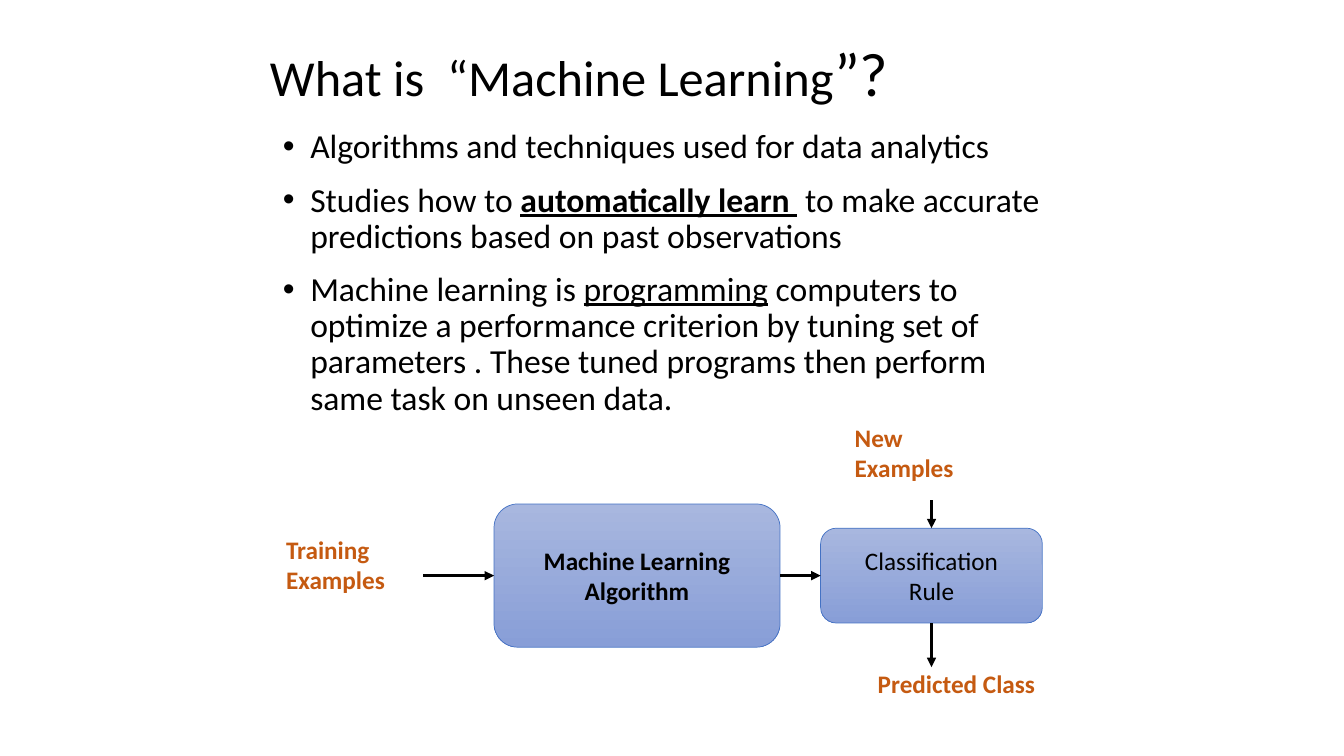
from lxml import etree
from pptx import Presentation, util as u
from pptx.dml.color import RGBColor
from pptx.enum import shapes as sh, text as tx
from pptx.oxml.ns import qn

# Content: a line is a list of (words, style) runs; b = bold, u = underline
TITLE = [("What is  “Machine Learning", ""), ("”?", "big")]
POINTS = [
    [("Algorithms and techniques used for data analytics", "")],
    [("Studies how to ", ""), ("automatically learn ", "bu"),
     (" to make accurate predictions based on past observations", "")],
    [("Machine learning is ", ""), ("programming", "u"),
     (" computers to optimize a performance criterion by tuning set of "
      "parameters . These tuned programs then perform same task on "
      "unseen data.", "")],
]
# Places in cm: left, top, width, height
HEAD = (6.55, 0.71, 20.57, 2.44)
BODY = (6.53, 3.15, 20.57, 14.17)
LEARN = (12.45, 12.7, 7.21, 3.61)
RULE = (20.68, 13.31, 5.59, 2.39)
BOXES = [
    (LEARN, ["Machine Learning", "Algorithm"], "b"),
    (RULE, ["Classification", "Rule"], ""),
]
LABELS = [
    ((6.96, 13.34, 3.02, 1.8), ["Training", "Examples"]),
    ((21.29, 10.52, 5.41, 1.8), ["New", "Examples"]),
    ((21.87, 16.71, 4.83, 1.02), ["Predicted Class"]),
]
START, ENTER, LEAVE = 10.67, 12.6, 16.81  # free ends of the arrows

THEME = {
    "font": "Calibri", "ink": "000000", "label": "C55A11",
    "light": "A8B7DF", "dark": "889ED7", "edge": "4472C4",
    "title": 36, "big": 44, "body": 24, "small": 18,
    "thin": 0.5, "thick": 2.25,
}


def color(name):
    return RGBColor.from_string(THEME[name])


def cm(place):
    return [u.Cm(n) for n in place]


def write(para, runs, size, ink="ink"):
    for words, style in runs:
        run = para.add_run()
        run.text = words
        font = run.font
        font.name = THEME["font"]
        font.size = u.Pt(THEME["big" if style == "big" else size])
        font.color.rgb = color(ink)
        if style != "big":
            font.bold = "b" in style
            font.underline = "u" in style


def fill_text(frame, lines, size, ink="ink", align=tx.PP_ALIGN.LEFT):
    frame.word_wrap = True
    for i, runs in enumerate(lines):
        para = frame.paragraphs[0] if i == 0 else frame.add_paragraph()
        para.alignment = align
        write(para, runs, size, ink)


def add_bullet(para):
    props = para._p.get_or_add_pPr()
    props.set("marL", str(u.Cm(1.04)))
    props.set("indent", str(u.Cm(-0.69)))
    etree.SubElement(props, qn("a:buFont")).set("typeface", "Arial")
    etree.SubElement(props, qn("a:buChar")).set("char", "•")


def add_box(slide, place, lines, style):
    box = slide.shapes.add_shape(sh.MSO_SHAPE.ROUNDED_RECTANGLE, *cm(place))
    box.shadow.inherit = False
    box.fill.gradient()
    box.fill.gradient_angle = 270
    for stop, name in zip(box.fill.gradient_stops, ("light", "dark")):
        stop.color.rgb = color(name)
    box.line.color.rgb = color("edge")
    box.line.width = u.Pt(THEME["thin"])
    box.text_frame.vertical_anchor = tx.MSO_ANCHOR.MIDDLE
    fill_text(box.text_frame, [[(line, style)] for line in lines],
              "small", align=tx.PP_ALIGN.CENTER)


def add_arrow(slide, ends):
    arrow = slide.shapes.add_connector(sh.MSO_CONNECTOR.STRAIGHT, *cm(ends))
    arrow.line.color.rgb = color("ink")
    arrow.line.width = u.Pt(THEME["thick"])
    tip = etree.SubElement(arrow.line._get_or_add_ln(), qn("a:tailEnd"))
    tip.set("type", "triangle")
    etree.SubElement(arrow._element.spPr, qn("a:effectLst"))


def main():
    deck = Presentation()
    deck.slide_width, deck.slide_height = u.Cm(33.87), u.Cm(19.05)
    slide = deck.slides.add_slide(deck.slide_layouts[5])

    # Title
    head = slide.shapes.title
    head.left, head.top, head.width, head.height = cm(HEAD)
    head.text_frame.vertical_anchor = tx.MSO_ANCHOR.MIDDLE
    fill_text(head.text_frame, [TITLE], "title")
    head.text_frame.paragraphs[0].line_spacing = 0.9

    # Bullet points
    body = slide.shapes.add_textbox(*cm(BODY)).text_frame
    fill_text(body, POINTS, "body")
    for para in body.paragraphs:
        para.line_spacing = 0.9
        para.space_before = para.space_after = u.Pt(6)
        add_bullet(para)

    # Boxes
    for place, lines, style in BOXES:
        add_box(slide, place, lines, style)

    # Arrows along the middle of the boxes
    mid = LEARN[1] + LEARN[3] / 2
    axis = RULE[0] + RULE[2] / 2
    for ends in [
        (START, mid, LEARN[0], mid),
        (LEARN[0] + LEARN[2], mid, RULE[0], mid),
        (axis, ENTER, axis, RULE[1]),
        (axis, RULE[1] + RULE[3], axis, LEAVE),
    ]:
        add_arrow(slide, ends)

    # Labels
    for place, lines in LABELS:
        frame = slide.shapes.add_textbox(*cm(place)).text_frame
        fill_text(frame, [[(line, "b")] for line in lines], "small", "label")

    deck.save("out.pptx")


if __name__ == "__main__":
    main()
